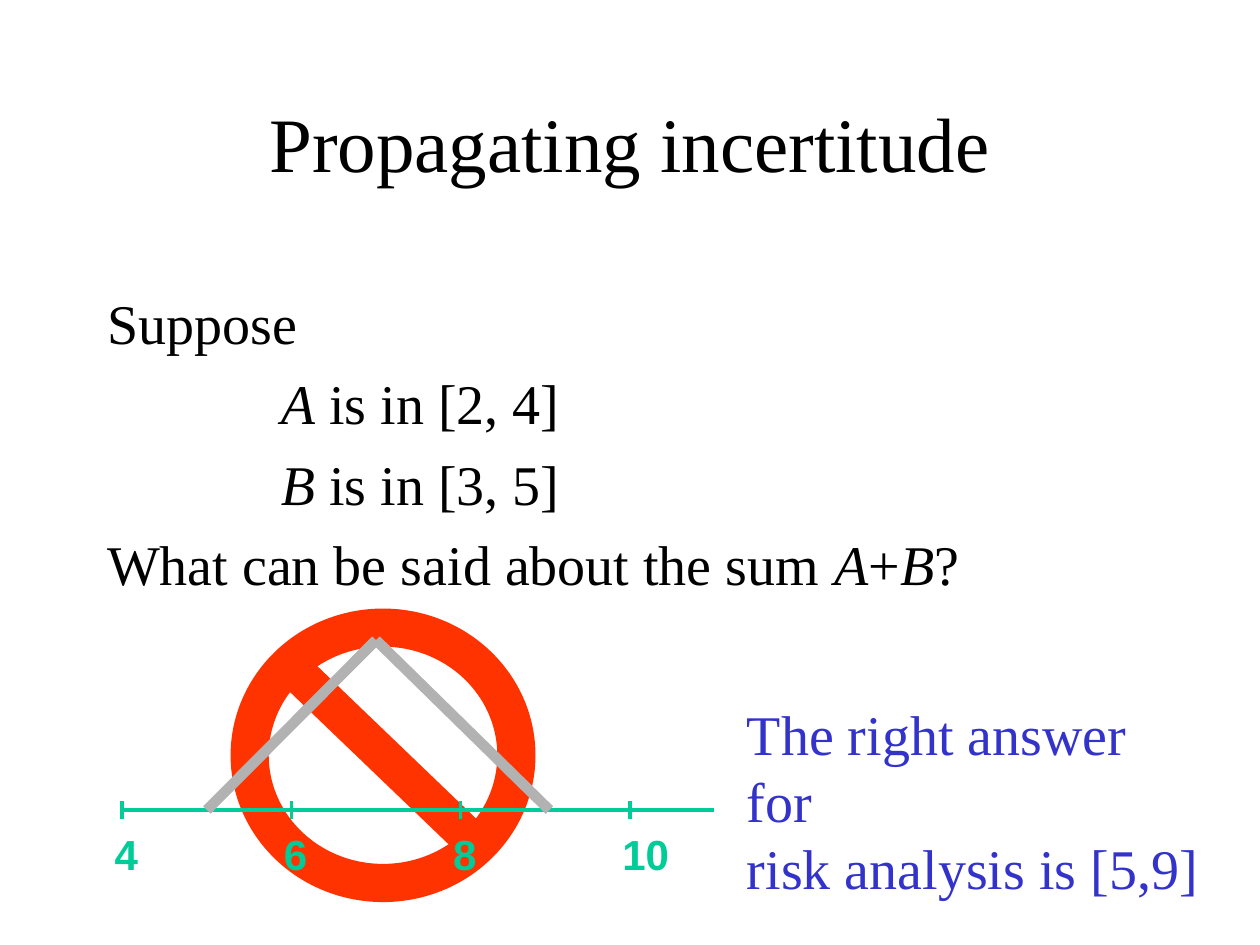
from collections import namedtuple
from dataclasses import dataclass

from lxml import etree
from pptx import Presentation
from pptx.dml.color import RGBColor
from pptx.enum.shapes import MSO_CONNECTOR, MSO_SHAPE
from pptx.enum.text import MSO_ANCHOR, MSO_AUTO_SIZE, PP_ALIGN
from pptx.oxml.ns import qn
from pptx.util import Inches, Pt

STRAIGHT = MSO_CONNECTOR.STRAIGHT
NO_SYMBOL = MSO_SHAPE.NO_SYMBOL
MIDDLE = MSO_ANCHOR.MIDDLE
TOP = MSO_ANCHOR.TOP
FIXED = MSO_AUTO_SIZE.NONE
GROW = MSO_AUTO_SIZE.SHAPE_TO_FIT_TEXT
CENTER = PP_ALIGN.CENTER
LEFT = PP_ALIGN.LEFT

Box = namedtuple("Box", "left top width height")


@dataclass(frozen=True)
class Theme:
    serif: str = "Times New Roman"
    sans: str = "Arial"
    ink: RGBColor = RGBColor(0, 0, 0)
    answer: RGBColor = RGBColor(0x33, 0x33, 0xCC)
    axis: RGBColor = RGBColor(0x00, 0xCC, 0x99)
    triangle: RGBColor = RGBColor(0xB2, 0xB2, 0xB2)
    forbidden: RGBColor = RGBColor(0xFF, 0x33, 0x00)
    title_size: int = 44
    body_size: int = 32
    label_size: int = 24


THEME = Theme()
WIDTH, HEIGHT = 10, 7.5


def share(left, top, width, height):
    return Box(left * WIDTH, top * HEIGHT, width * WIDTH, height * HEIGHT)


def place(shape, box):
    shape.left, shape.top, shape.width, shape.height = map(Inches, box)


def add_span(para, text, size, color, font=THEME.serif, bold=False, italic=False):
    span = para.add_run()
    span.text = text
    span.font.name = font
    span.font.size = Pt(size)
    span.font.color.rgb = color
    span.font.bold = bold
    span.font.italic = italic


def add_line(shapes, start, end, color, weight):
    line = shapes.add_connector(STRAIGHT, *map(Inches, (*start, *end)))
    line.line.color.rgb = color
    line.line.width = Pt(weight)
    etree.SubElement(line._element.spPr, qn("a:effectLst"))


def fill_title(page, box):
    title = page.shapes.title
    place(title, box)
    frame = title.text_frame
    frame.auto_size = FIXED
    frame.vertical_anchor = MIDDLE
    para = frame.paragraphs[0]
    para.alignment = CENTER
    add_span(para, "Propagating incertitude", THEME.title_size, THEME.ink)


def fill_question(page, box):
    lines = [
        (0.38, -0.38, [("Suppose", False)]),
        (1.38, 0, [("A", True), (" is in [2, 4]", False)]),
        (1.38, 0, [("B", True), (" is in [3, 5]", False)]),
        (0.38, -0.38, [("What can be said about the sum ", False),
                       ("A", True), ("+", False), ("B", True), ("?", False)]),
    ]
    body = page.placeholders[1]
    place(body, box)
    frame = body.text_frame
    frame.auto_size = FIXED
    frame.vertical_anchor = TOP
    frame.margin_top = Inches(0.12)
    for index, (margin, indent, spans) in enumerate(lines):
        para = frame.add_paragraph() if index else frame.paragraphs[0]
        para.alignment = LEFT
        para.space_before = Pt(7.5 if index else 0)
        properties = para._p.get_or_add_pPr()
        properties.set("marL", str(Inches(margin)))
        properties.set("indent", str(Inches(indent)))
        etree.SubElement(properties, qn("a:buNone"))
        for text, italic in spans:
            add_span(para, text, THEME.body_size, THEME.ink, italic=italic)


def add_forbidden_sign(page, box):
    sign = page.shapes.add_shape(NO_SYMBOL, *map(Inches, box))
    sign.adjustments[0] = 0.13
    sign.shadow.inherit = False
    sign.fill.solid()
    sign.fill.fore_color.rgb = THEME.forbidden
    sign.line.fill.background()


def add_number_line(page, box):
    first, last = 4, 11
    unit = box.width / (last - first)
    axis_y = box.top + 0.71 * box.height
    tick = 0.07
    shapes = page.shapes.add_group_shape().shapes

    def across(value):
        return box.left + (value - first) * unit

    add_line(shapes, (across(last), axis_y), (across(first), axis_y), THEME.axis, 2)
    for value in range(first, last, 2):
        x = across(value)
        add_line(shapes, (x, axis_y - tick), (x, axis_y + tick), THEME.axis, 2)
        text = str(value)
        label = shapes.add_textbox(*map(Inches, (x - 0.06, axis_y + 0.15,
                                                 0.19 * len(text), 0.4)))
        frame = label.text_frame
        frame.margin_left = frame.margin_right = 0
        frame.margin_top = frame.margin_bottom = 0
        frame.word_wrap = False
        frame.auto_size = GROW
        add_span(frame.paragraphs[0], text, THEME.label_size, THEME.axis,
                 font=THEME.sans, bold=True)

    peak = (across(7), box.top)
    for foot in (5, 9.05):
        add_line(shapes, (across(foot), axis_y), peak, THEME.triangle, 6)


def add_answer(page, box):
    frame = page.shapes.add_textbox(*map(Inches, box)).text_frame
    frame.word_wrap = False
    frame.auto_size = GROW
    for index, text in enumerate(("The right answer for", "risk analysis is [5,9]")):
        para = frame.add_paragraph() if index else frame.paragraphs[0]
        add_span(para, text, THEME.body_size, THEME.answer)


def main():
    deck = Presentation()
    deck.slide_width, deck.slide_height = Inches(WIDTH), Inches(HEIGHT)
    page = deck.slides.add_slide(deck.slide_layouts[1])
    fill_title(page, Box(0.75, 0.5, 8.5, 1.25))
    fill_question(page, Box(0.75, 2.17, 8.5, 4.5))
    add_forbidden_sign(page, Box(1.83, 4.83, 2.42, 2.33))
    add_number_line(page, Box(0.97, 5.08, 4.7, 1.9))
    add_answer(page, Box(5.83, 5.5, 3.84, 1.17))
    deck.save("out.pptx")


if __name__ == "__main__":
    main()
